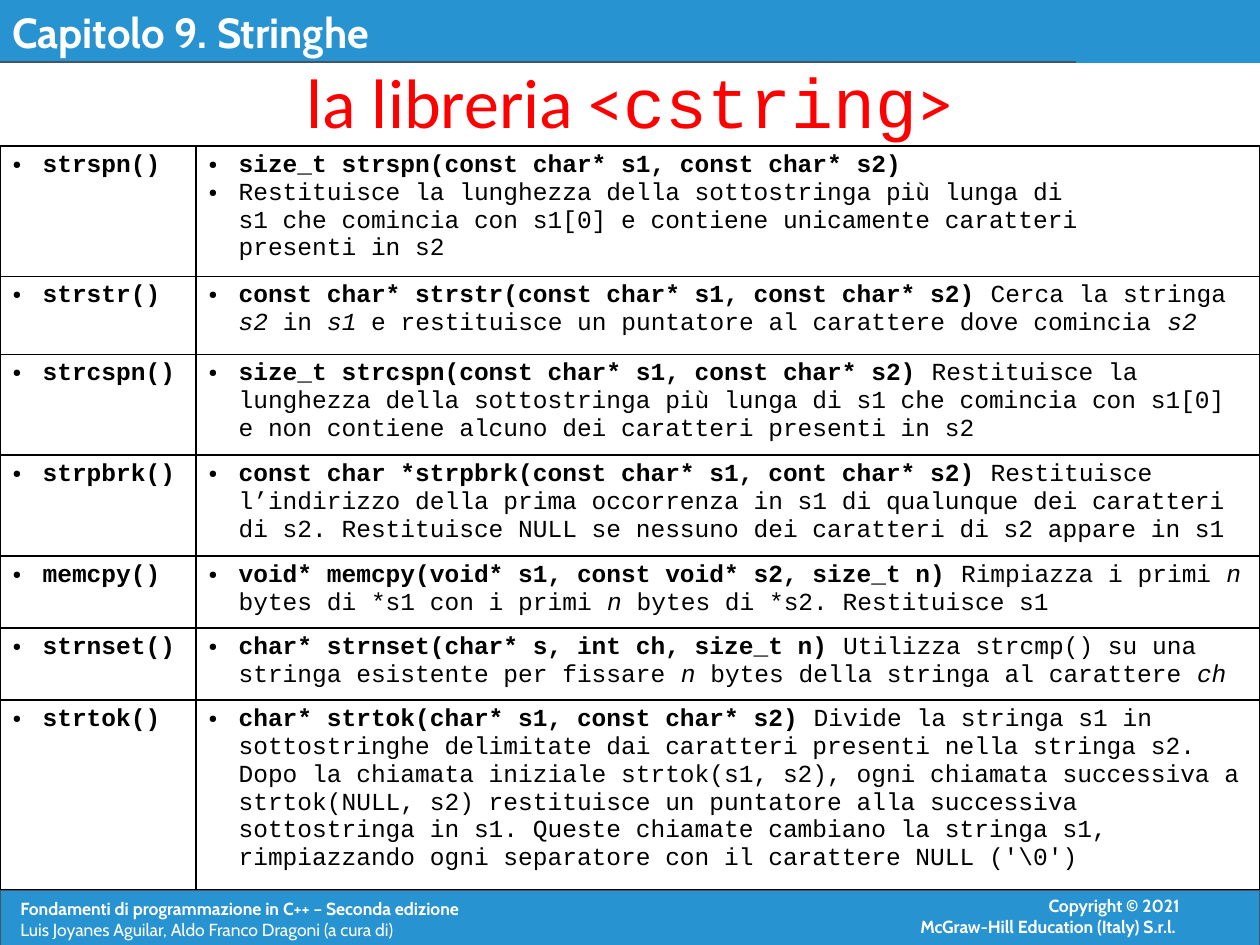
import pptx
import pptx.dml.color
import pptx.enum.shapes
import pptx.enum.text
import pptx.oxml
import pptx.oxml.ns
import pptx.util

PX = 914400 // 126
BLUE, SLATE, WHITE, BLACK, RED = "2893D1", "44546A", "FFFFFF", "000000", "FF0000"
HEADING = {"name": "Cabin", "bold": True, "color": WHITE}
CODE = {"name": "Courier New", "size": 14, "color": BLACK}
MIDDLE = pptx.enum.text.MSO_ANCHOR.MIDDLE
NAMESPACE = pptx.oxml.ns.nsdecls("a")


def color(hex_value):
    return pptx.dml.color.RGBColor.from_string(hex_value)


def add_text(paragraph, text, **style):
    """Add runs in one style, with a line break at each newline."""
    for index, line in enumerate(text.split("\n")):
        if index:
            paragraph.add_line_break()
        run = paragraph.add_run()
        run.text = line
        for key, value in style.items():
            if key == "color":
                run.font.color.rgb = color(value)
            elif key == "size":
                run.font.size = pptx.util.Pt(value)
            else:
                setattr(run.font, key, value)


presentation = pptx.Presentation()
presentation.slide_width = 1260 * PX
presentation.slide_height = 945 * PX
slide = presentation.slides.add_slide(presentation.slide_layouts[6])
shapes = slide.shapes

# Header and footer bands
bands = []
for top, height in ((890, 59), (0, 63)):
    band = shapes.add_shape(
        pptx.enum.shapes.MSO_SHAPE.RECTANGLE, 0, top * PX, 1260 * PX, height * PX)
    band.shadow.inherit = False
    band.fill.solid()
    band.fill.fore_color.rgb = color(BLUE)
    bands.append(band)
footer, header = bands
footer.line.color.rgb = color(SLATE)
footer.line.width = pptx.util.Pt(0.75)
header.line.fill.background()
header.text_frame.vertical_anchor = MIDDLE
chapter = header.text_frame.paragraphs[0]
chapter.alignment = pptx.enum.text.PP_ALIGN.LEFT
add_text(chapter, "Capitolo 9. Stringhe", size=24, **HEADING)

rule = shapes.add_connector(
    pptx.enum.shapes.MSO_CONNECTOR.STRAIGHT, 0, 62 * PX, 1076 * PX, 62 * PX)
rule.line.color.rgb = color(SLATE)
rule.line.width = pptx.util.Pt(0.75)
rule._element.spPr.append(pptx.oxml.parse_xml(f"<a:effectLst {NAMESPACE}/>"))

# Footer texts
book = shapes.add_textbox(8 * PX, 892 * PX, 602 * PX, 54 * PX).text_frame
book.word_wrap = True
add_text(book.paragraphs[0],
         "Fondamenti di programmazione in C++ – Seconda edizione\n", size=10, **HEADING)
add_text(book.paragraphs[0], "Luis Joyanes Aguilar, Aldo Franco Dragoni (a cura di)",
         size=10, **{**HEADING, "bold": False})

rights = shapes.add_textbox(848 * PX, 889 * PX, 344 * PX, 76 * PX).text_frame
rights.word_wrap = True
rights.add_paragraph()
for paragraph, line in zip(
        rights.paragraphs, ("Copyright © 2021", "McGraw-Hill Education (Italy) S.r.l. ")):
    paragraph.alignment = pptx.enum.text.PP_ALIGN.RIGHT
    add_text(paragraph, line, size=10, **HEADING)

# Function table: name, row height, then per paragraph the bold signature and
# the description, whose italic parts stand between bars
functions = [
    ("strspn()", 130, [
        ("size_t strspn(const char* s1, const char* s2)", ""),
        ("", "Restituisce la lunghezza della sottostringa più lunga di\n"
             "s1 che comincia con s1[0] e contiene unicamente caratteri\n"
             "presenti in s2")]),
    ("strstr()", 78, [
        ("const char* strstr(const char* s1, const char* s2) ",
         "Cerca la stringa |s2| in |s1| e restituisce un puntatore al carattere "
         "dove comincia |s2|")]),
    ("strcspn()", 101, [
        ("size_t strcspn(const char* s1, const char* s2) ",
         "Restituisce la lunghezza della sottostringa più lunga di s1 che comincia "
         "con s1[0] e non contiene alcuno dei caratteri presenti in s2")]),
    ("strpbrk()", 101, [
        ("const char *strpbrk(const char* s1, cont char* s2) ",
         "Restituisce l’indirizzo della prima occorrenza in s1 di qualunque dei "
         "caratteri di s2. Restituisce NULL se nessuno dei caratteri di s2 appare in s1")]),
    ("memcpy()", 72, [
        ("void* memcpy(void* s1, const void* s2, size_t n) ",
         "Rimpiazza i primi |n| bytes di *s1 con i primi |n| bytes di *s2. "
         "Restituisce s1")]),
    ("strnset()", 72, [
        ("char* strnset(char* s, int ch, size_t n) ",
         "Utilizza strcmp() su una stringa esistente per fissare |n| bytes della "
         "stringa al carattere |ch|")]),
    ("strtok()", 189, [
        ("char* strtok(char* s1, const char* s2) ",
         "Divide la stringa s1 in sottostringhe delimitate dai caratteri presenti "
         "nella stringa s2. Dopo la chiamata iniziale strtok(s1, s2), ogni chiamata "
         "successiva a strtok(NULL, s2) restituisce un puntatore alla successiva "
         "sottostringa in s1. Queste chiamate cambiano la stringa s1, rimpiazzando "
         "ogni separatore con il carattere NULL ('\\0')")]),
]
table_height = sum(height for _, height, _ in functions)
table = shapes.add_table(
    len(functions), 2, 0, 146 * PX, 1260 * PX, table_height * PX).table
table.first_row = table.horz_banding = False
table.columns[0].width = 196 * PX
table.columns[1].width = 1064 * PX

for row, (name, height, description) in zip(table.rows, functions):
    row.height = height * PX
    for cell, entries in zip(row.cells, ([(name, "")], description)):
        for side in ("lnL", "lnR", "lnT", "lnB"):
            cell._tc.get_or_add_tcPr().append(pptx.oxml.parse_xml(
                f'<a:{side} {NAMESPACE} w="12700"><a:solidFill>'
                f'<a:srgbClr val="{BLACK}"/></a:solidFill></a:{side}>'))
        cell.fill.background()
        for index, (signature, details) in enumerate(entries):
            frame = cell.text_frame
            paragraph = frame.add_paragraph() if index else frame.paragraphs[0]
            properties = paragraph._p.get_or_add_pPr()
            properties.set("marL", str(30 * PX))
            properties.set("indent", str(-30 * PX))
            for bullet in (f'<a:buClr {NAMESPACE}><a:srgbClr val="{BLACK}"/></a:buClr>',
                           f'<a:buSzPct {NAMESPACE} val="45000"/>',
                           f'<a:buChar {NAMESPACE} char="●"/>'):
                properties.append(pptx.oxml.parse_xml(bullet))
            if signature:
                add_text(paragraph, signature, bold=True, **CODE)
            for part, text in enumerate(details.split("|")):
                if text:
                    add_text(paragraph, text, bold=False, italic=part % 2 == 1, **CODE)

# Title
title = shapes.add_textbox(193 * PX, 75 * PX, 873 * PX, 60 * PX).text_frame
title.word_wrap = True
title.vertical_anchor = MIDDLE
for side in ("left", "top", "right", "bottom"):
    setattr(title, f"margin_{side}", 0)
heading = title.paragraphs[0]
heading.alignment = pptx.enum.text.PP_ALIGN.CENTER
heading.line_spacing = 0.93
for text, font in (("la libreria <", "Calibri"), ("cstring", "Courier New"), (">", "Calibri")):
    add_text(heading, text, name=font, size=40, color=RED)

presentation.save("out.pptx")
